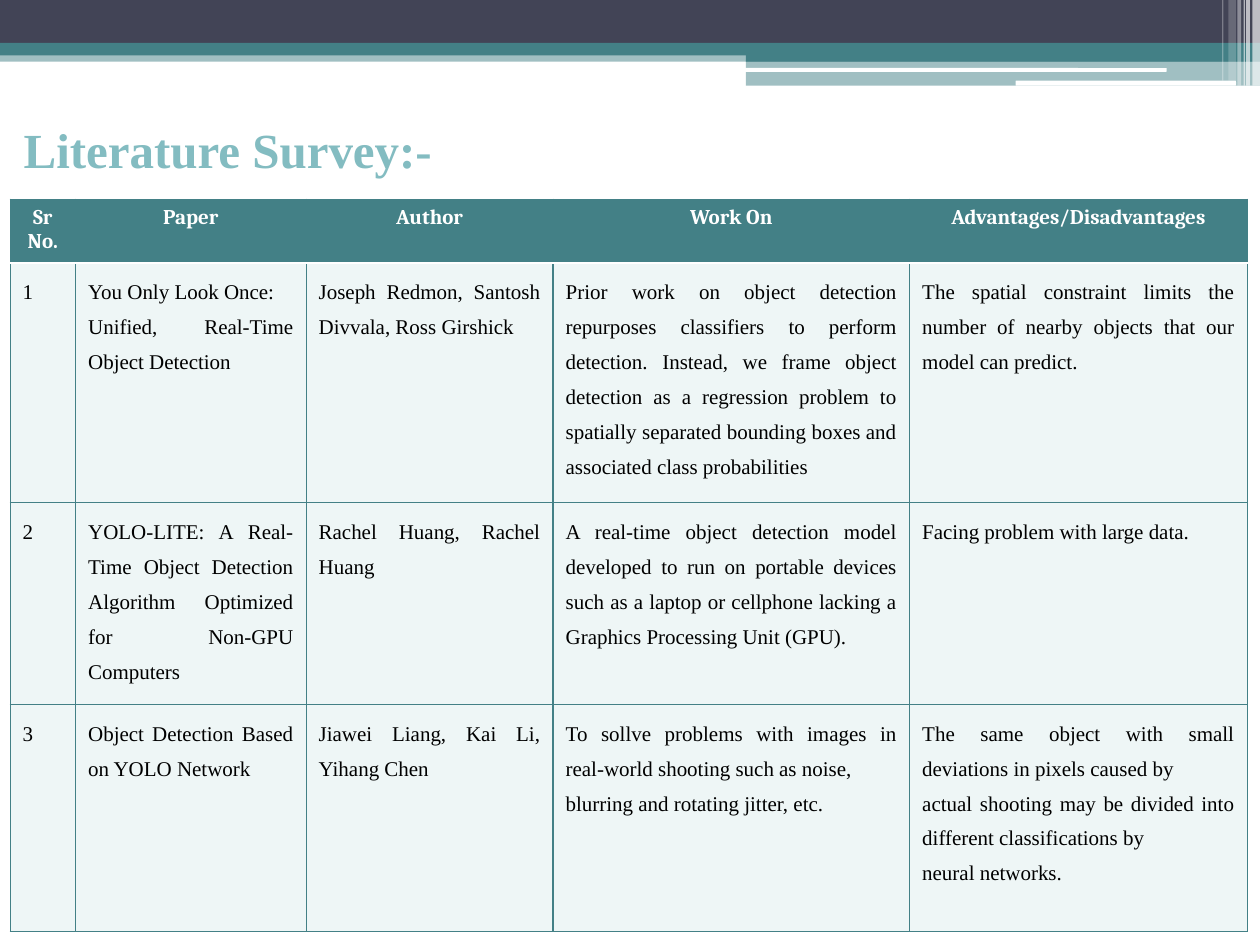
from typing import NamedTuple, Optional

from lxml.etree import SubElement
from pptx import Presentation
from pptx.dml.color import RGBColor
from pptx.enum.shapes import MSO_SHAPE as Shape
from pptx.enum.text import PP_ALIGN as Align
from pptx.oxml.ns import qn
from pptx.util import Inches, Length, Pt

# The slide is a grid of 1000 columns by 750 rows.
COLUMNS, ROWS = 1000, 750
WIDTH, HEIGHT = Inches(10), Inches(7.5)

WHITE = RGBColor(0xFF, 0xFF, 0xFF)
BLACK = RGBColor(0x00, 0x00, 0x00)
SLATE = RGBColor(0x42, 0x44, 0x56)
TEAL = RGBColor(0x43, 0x80, 0x86)
AQUA = RGBColor(0x83, 0xBC, 0xC1)
PALE = RGBColor(0xEE, 0xF6, 0xF6)

BODY_FONT, HEADER_FONT = "Times New Roman", "Cambria"


class Bar(NamedTuple):
    col: float
    row: float
    cols: float
    rows: float
    color: RGBColor
    opacity: int = 100
    rounding: Optional[float] = None


class Border(NamedTuple):
    color: RGBColor
    points: float


BARS = [
    Bar(0, 40, 1000, 9, TEAL, 50),
    Bar(0, 0, 1000, 34, SLATE),
    Bar(0, 34, 1000, 10, TEAL),
    Bar(592, 39, 408, 10, TEAL),
    Bar(592, 48, 408, 20, TEAL, 50),
    Bar(591, 54, 335, 3, WHITE, rounding=0.17),
    Bar(806, 64, 175, 4, WHITE, rounding=0.17),
    Bar(994, 0, 6, 68, WHITE, 65),
    Bar(989, 0, 3, 68, WHITE, 65),
    Bar(987, 0, 1, 68, WHITE, 60),
    Bar(982, 0, 3, 68, WHITE, 40),
    Bar(975, 0, 6, 64, WHITE, 20),
    Bar(970, 0, 1, 64, WHITE, 30),
]

TABLE_COL, TABLE_ROW = 8, 158
COL_SPANS = [52, 183, 196, 283, 268]
ROW_SPANS = [51, 190, 160, 180]
GRID_LINE, HEADER_RULE = Border(TEAL, 0.75), Border(WHITE, 1.5)

SURVEY = [
    ["Sr No.", "Paper", "Author", "Work On", "Advantages/Disadvantages"],
    [
        "1",
        "You Only Look Once:\nUnified, Real-Time Object Detection",
        "Joseph Redmon, Santosh Divvala, Ross Girshick",
        "Prior work on object detection repurposes classifiers to perform detection. "
        "Instead, we frame object detection as a regression problem to spatially "
        "separated bounding boxes and associated class probabilities",
        "The spatial constraint limits the number of nearby objects that our model "
        "can predict.",
    ],
    [
        "2",
        "YOLO-LITE: A Real-Time Object Detection Algorithm Optimized for "
        "Non-GPU Computers",
        "Rachel Huang, Rachel Huang",
        "A real-time object detection model developed to run on portable devices "
        "such as a laptop or cellphone lacking a Graphics Processing Unit (GPU).",
        "Facing problem with large data.",
    ],
    [
        "3",
        "Object Detection Based on YOLO Network",
        "Jiawei Liang, Kai Li, Yihang Chen",
        "To sollve problems with images in real-world shooting such as noise,\n"
        "blurring and rotating jitter, etc.",
        "The same object with small deviations in pixels caused by\n"
        "actual shooting may be divided into different classifications by\n"
        "neural networks.",
    ],
]


def across(cols: float) -> Length:
    return Length(round(WIDTH * cols / COLUMNS))


def down(rows: float) -> Length:
    return Length(round(HEIGHT * rows / ROWS))


def style_font(font, name: str, size: float, color: RGBColor, bold: bool) -> None:
    font.name, font.size, font.bold = name, Pt(size), bold
    font.color.rgb = color


def add_bar(slide, bar: Bar) -> None:
    kind = Shape.RECTANGLE if bar.rounding is None else Shape.ROUNDED_RECTANGLE
    sp = slide.shapes.add_shape(
        kind, across(bar.col), down(bar.row), across(bar.cols), down(bar.rows)
    )
    sp.shadow.inherit = False
    sp.line.fill.background()
    sp.fill.solid()
    sp.fill.fore_color.rgb = bar.color
    if bar.rounding is not None:
        sp.adjustments[0] = bar.rounding
    if bar.opacity < 100:
        color = sp.fill._xPr.find(f".//{qn('a:srgbClr')}")
        SubElement(color, qn("a:alpha"), val=str(bar.opacity * 1000))


def add_title(slide, text: str) -> None:
    sp = slide.shapes.add_textbox(across(9), down(90), across(344), down(104))
    tf = sp.text_frame
    tf.word_wrap = False
    tf.text = text
    style_font(tf.paragraphs[0].runs[0].font, BODY_FONT, 28, AQUA, True)


def set_borders(cell, left: Border, right: Border, top: Border, bottom: Border) -> None:
    """Put the four borders before the fill, in the order the schema asks for."""
    props = cell._tc.get_or_add_tcPr()
    sides = zip(("lnL", "lnR", "lnT", "lnB"), (left, right, top, bottom))
    for i, (tag, border) in enumerate(sides):
        line = SubElement(props, qn(f"a:{tag}"), w=str(Pt(border.points)))
        fill = SubElement(line, qn("a:solidFill"))
        SubElement(fill, qn("a:srgbClr"), val=str(border.color))
        props.insert(i, line)


def fill_cell(cell, text: str, row: int) -> None:
    header = row == 0
    cell.fill.solid()
    cell.fill.fore_color.rgb = TEAL if header else PALE
    side = Border(TEAL, GRID_LINE.points)
    set_borders(
        cell,
        left=side,
        right=side,
        top=HEADER_RULE if row == 1 else GRID_LINE,
        bottom=HEADER_RULE if header else GRID_LINE,
    )
    cell.text_frame.text = text
    for p in cell.text_frame.paragraphs:
        p.alignment = Align.CENTER if header else Align.JUSTIFY
        if not header:
            p.line_spacing = 1.5
        for r in p.runs:
            if header:
                style_font(r.font, HEADER_FONT, 12, WHITE, True)
            else:
                style_font(r.font, BODY_FONT, 12, BLACK, False)


def add_survey(slide) -> None:
    table = slide.shapes.add_table(
        len(ROW_SPANS), len(COL_SPANS), across(TABLE_COL), down(TABLE_ROW),
        across(sum(COL_SPANS)), down(sum(ROW_SPANS)),
    ).table
    for column, span in zip(table.columns, COL_SPANS):
        column.width = across(span)
    for i, (span, texts) in enumerate(zip(ROW_SPANS, SURVEY)):
        table.rows[i].height = down(span)
        for j, text in enumerate(texts):
            fill_cell(table.cell(i, j), text, i)


def main() -> None:
    prs = Presentation()
    prs.slide_width, prs.slide_height = WIDTH, HEIGHT
    s = prs.slides.add_slide(prs.slide_layouts[6])
    for bar in BARS:
        add_bar(s, bar)
    add_title(s, "Literature Survey:-")
    add_survey(s)
    prs.save("out.pptx")


if __name__ == "__main__":
    main()
